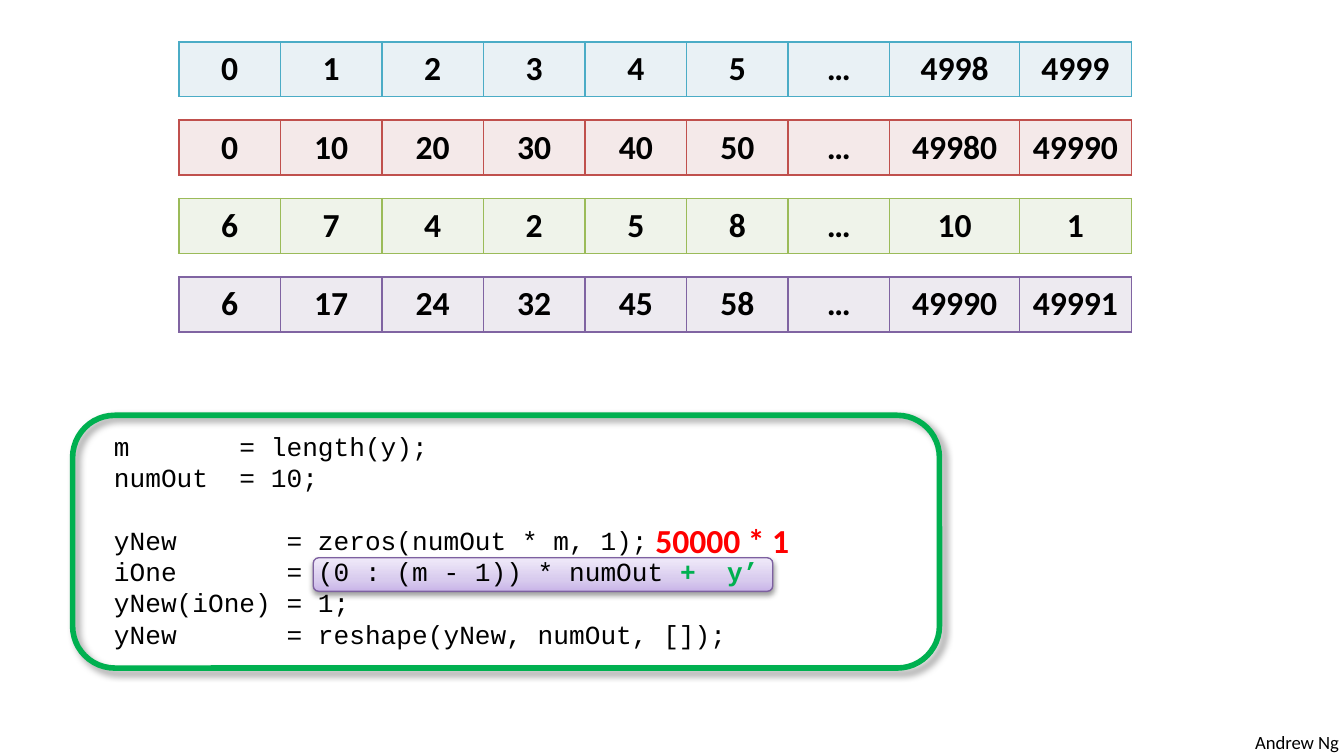
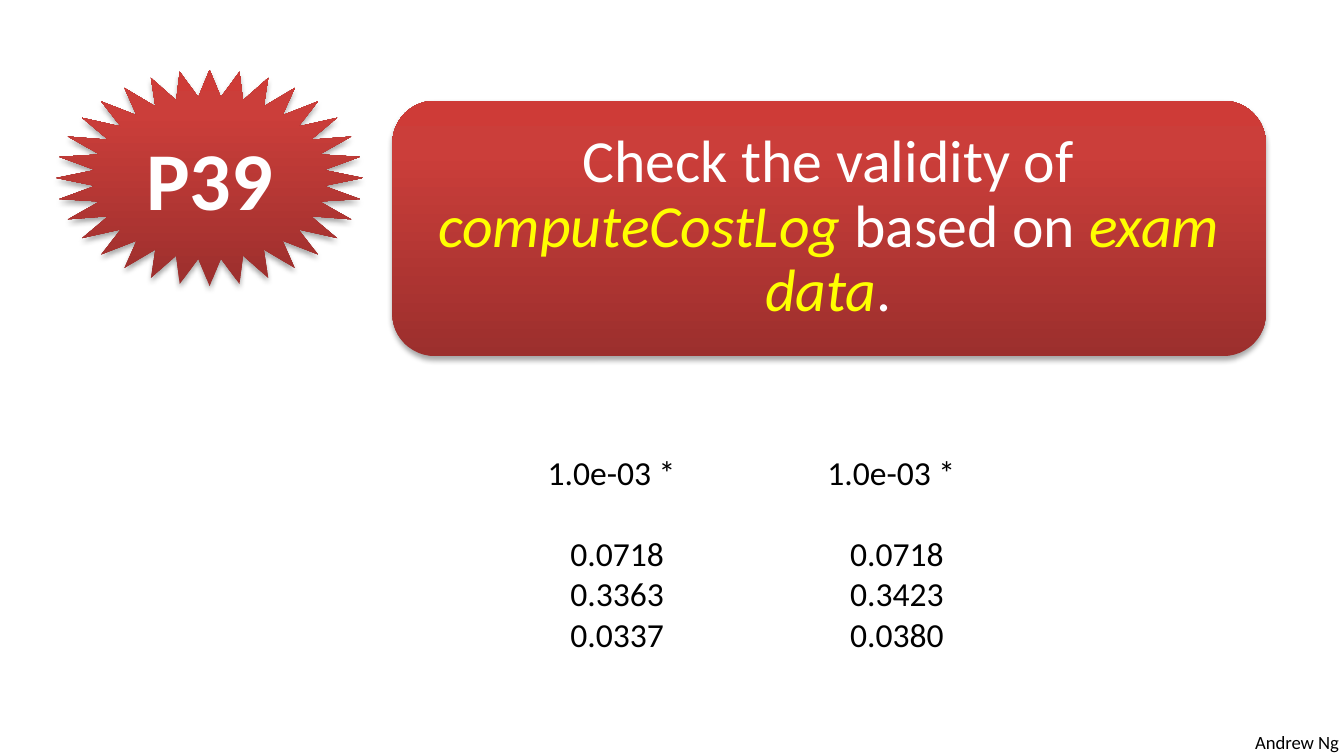
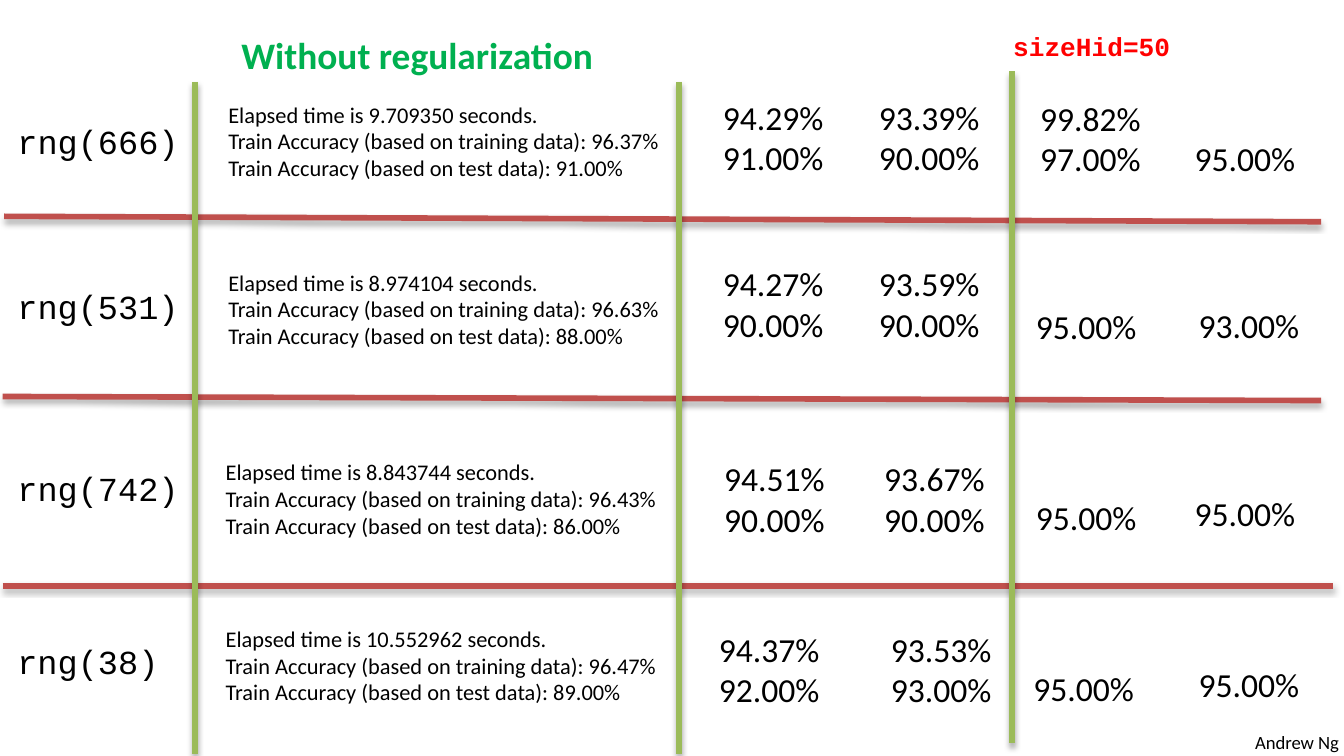
from dataclasses import dataclass

from lxml import etree
from pptx import Presentation
from pptx import util as u
from pptx.dml.color import RGBColor
from pptx.enum import shapes, text
from pptx.oxml import ns

Pt = u.Pt
CENTER = text.PP_ALIGN.CENTER
MIDDLE = text.MSO_ANCHOR.MIDDLE


@dataclass(frozen=True)
class Theme:
    body: str = "Calibri"
    mono: str = "Courier New"
    black: str = "000000"
    white: str = "FFFFFF"
    red: str = "FF0000"
    green: str = "00B050"
    yellow: str = "FFFF00"
    row_rule: str = "C0504D"
    column_rule: str = "9BBB59"
    purple: str = "7D60A0"
    lilac: tuple = ((0, "C9B5E8"), (35, "D8CBEE"), (100, "F0EAF9"))
    crimson: tuple = ((0, "9C2F2D"), (80, "CB3E3A"), (100, "CE3B37"))
    # alpha %, blur, distance, angle
    soft_shadow: tuple = (35, 3.1, 1.8, 90)
    frame_shadow: tuple = (40, 4, 3, 45)
    footer: int = 10
    log: int = 12
    code: int = 14
    normal: int = 18
    heading: int = 20
    task: int = 32
    badge: int = 44


T = Theme()


def sub(parent, tag, **attrs):
    return etree.SubElement(parent, ns.qn(tag), {k: str(v) for k, v in attrs.items()})


def cast_shadow(sp, alpha, blur, dist, angle):
    """Give a shape or connector an outer shadow; call after fill and line."""
    effects = sub(sp._element.spPr, "a:effectLst")
    shadow = sub(effects, "a:outerShdw", blurRad=Pt(blur), dist=Pt(dist),
                 dir=angle * 60000, rotWithShape=0)
    sub(sub(shadow, "a:srgbClr", val=T.black), "a:alpha", val=alpha * 1000)


def fill_gradient(sp, stops):
    """Fill from the bottom edge (0) to the top edge (100)."""
    sp.fill.gradient()
    sp.fill.gradient_angle = 90
    stop_list = sp._element.spPr.find(".//" + ns.qn("a:gsLst"))
    stop_list.clear()
    for pos, color in stops:
        sub(sub(stop_list, "a:gs", pos=pos * 1000), "a:srgbClr", val=color)


def add_run(p, words, color=T.black, **fmt):
    r = p.add_run()
    r.text = words
    for name, value in {"name": T.body, "size": Pt(T.normal), **fmt}.items():
        setattr(r.font, name, value)
    r.font.color.rgb = RGBColor.from_string(color)


def write(tf, paragraphs, para=None, **fmt):
    """Each paragraph is a string or a list of (words, format changes)."""
    for i, runs in enumerate(paragraphs):
        p = tf.paragraphs[0] if i == 0 else tf.add_paragraph()
        for name, value in (para or {}).items():
            setattr(p, name, value)
        for words, changes in [(runs, {})] if isinstance(runs, str) else runs:
            add_run(p, words, **{**fmt, **changes})


def text_box(parent, box, paragraphs, wrap=True, para=None, **fmt):
    tf = parent.shapes.add_textbox(*map(Pt, box)).text_frame
    tf.word_wrap = wrap
    tf.auto_size = text.MSO_AUTO_SIZE.SHAPE_TO_FIT_TEXT
    write(tf, paragraphs, para, **fmt)
    return tf


def panel(parent, kind, box, shadow, stops=None, line=None, width=0):
    sp = parent.shapes.add_shape(kind, *map(Pt, box))
    if stops:
        fill_gradient(sp, stops)
    else:
        sp.fill.background()
    if line:
        sp.line.color.rgb = RGBColor.from_string(line)
        sp.line.width = Pt(width)
    else:
        sp.line.fill.background()
    cast_shadow(sp, *shadow)
    return sp


def rule(slide, x1, y1, x2, y2, color):
    line = slide.shapes.add_connector(shapes.MSO_CONNECTOR.STRAIGHT,
                                      *map(Pt, (x1, y1, x2, y2)))
    line.line.color.rgb = RGBColor.from_string(color)
    line.line.width = Pt(3)
    cast_shadow(line, *T.soft_shadow)


def border_cell(cell, color):
    props = cell._tc.get_or_add_tcPr()
    for i, side in enumerate(("a:lnL", "a:lnR", "a:lnT", "a:lnB")):
        ln = etree.Element(ns.qn(side), w=str(Pt(1)))
        sub(sub(ln, "a:solidFill"), "a:srgbClr", val=color)
        props.insert(i, ln)


def vector_table(slide, top, values, edge, fill):
    widths = [54.4] * 7 + [69.6, 60]
    frame = slide.shapes.add_table(1, len(values), Pt(95.8), Pt(top),
                                   Pt(sum(widths)), Pt(29.4))
    table = frame.table
    table.first_row = table.horz_banding = False
    for column, width in zip(table.columns, widths):
        column.width = Pt(width)
    for cell, value in zip(table.rows[0].cells, values):
        cell.vertical_anchor = MIDDLE
        cell.margin_left = cell.margin_right = Pt(4)
        cell.fill.solid()
        cell.fill.fore_color.rgb = RGBColor.from_string(fill)
        border_cell(cell, edge)
        write(cell.text_frame, [value], {"alignment": CENTER}, bold=True)


def gradient_column(slide, left, width, values):
    """A scale factor above a set of indented values."""
    tf = text_box(slide, (left, 238.3, width, 116.6), ["1.0e-03 *", *values])
    for i, p in enumerate(tf.paragraphs):
        p._p.get_or_add_pPr().set("marL", str(Pt(16.3 if i else 4.1)))
    tf.paragraphs[1].space_before = Pt(22)


def new_slide(prs):
    slide = prs.slides.add_slide(prs.slide_layouts[6])
    text_box(slide, (665.3, 388.1, 60.5, 19.4), ["Andrew Ng"], wrap=False,
             size=Pt(T.footer))
    return slide


def one_hot_slide(prs):
    slide = new_slide(prs)
    rounded = shapes.MSO_SHAPE.ROUNDED_RECTANGLE
    panel(slide, rounded, (167.8, 298.8, 246.2, 18), (38, 3.1, 1.6, 90),
          T.lilac, T.purple, 0.75)
    code = [
        "m       = length(y);",
        "numOut  = 10;",
        "yNew       = zeros(numOut * m, 1);",
        [("iOne       = (0 : (m - 1)) * numOut ", {}),
         ("+  y’", {"color": T.green, "bold": True})],
        "yNew(iOne) = 1;",
        "yNew       = reshape(yNew, numOut, []);",
    ]
    tf = text_box(slide, (54, 226.8, 468, 126), code, name=T.mono, size=Pt(T.code))
    tf.paragraphs[2].space_before = Pt(16.8)
    panel(slide, rounded, (38.9, 222.5, 464.4, 135.4), T.frame_shadow,
          line=T.green, width=3)
    text_box(slide, (343.4, 275, 87.1, 28.8), ["50000 * 1"], wrap=False,
             para={"alignment": CENTER}, color=T.red, bold=True)
    vectors = [
        ("0 1 2 3 4 5 … 4998 4999", "4BACC6", "E9F1F5"),
        ("0 10 20 30 40 50 … 49980 49990", "C0504D", "F4E9E9"),
        ("6 7 4 2 5 8 … 10 1", "9BBB59", "EFF3EA"),
        ("6 17 24 32 45 58 … 49990 49991", "8064A2", "EDEAF0"),
    ]
    for i, (values, edge, fill) in enumerate(vectors):
        vector_table(slide, 22.4 + 42 * i, values.split(), edge, fill)


def validity_slide(prs):
    slide = new_slide(prs)
    badge = panel(slide, shapes.MSO_SHAPE.STAR_32_POINT, (30.2, 37.4, 164.2, 115.9),
                  T.soft_shadow, T.crimson)
    badge.text_frame.vertical_anchor = MIDDLE
    write(badge.text_frame, ["P39"], {"alignment": CENTER}, color=T.white,
          size=Pt(T.badge), bold=True)

    group = slide.shapes.add_group_shape()
    panel(group, shapes.MSO_SHAPE.ROUNDED_RECTANGLE, (210.2, 54, 468, 136.8),
          T.soft_shadow, T.crimson)
    key = {"color": T.yellow, "italic": True}
    task = [("Check the validity of ", {}), ("computeCostLog", key),
            (" based on ", {}), ("exam data", key), (".", {})]
    tf = text_box(group, (213.1, 60.5, 461.5, 123.1), [task],
                  para={"alignment": CENTER, "line_spacing": 0.9},
                  color=T.white, size=Pt(T.task))
    tf.auto_size = text.MSO_AUTO_SIZE.NONE
    tf.vertical_anchor = MIDDLE
    tf.margin_left = tf.margin_right = Pt(15)
    tf.margin_top = tf.margin_bottom = Pt(8)

    gradient_column(slide, 282.2, 95.8, ["0.0718", "0.3363", "0.0337"])
    gradient_column(slide, 432, 90, ["0.0718", "0.3423", "0.0380"])


def accuracy_slide(prs):
    slide = new_slide(prs)
    text_box(slide, (121.7, 13.7, 203.8, 31.7), ["Without regularization"],
             para={"alignment": CENTER}, color=T.green, size=Pt(T.heading), bold=True)
    text_box(slide, (535.7, 13, 99.4, 24.5), ["sizeHid=50"], wrap=False,
             color=T.red, name=T.mono, size=Pt(T.code), bold=True)
    # seed, its top; log left, top; seconds, train, test; rates as left, top, values
    runs = [
        ("666", 61.2, 115.2, 50.4, "9.709350", "96.37%", "91.00%",
         [(380.2, 48.2, "94.29% 91.00%"), (463.7, 48.2, "93.39% 90.00%"),
          (550.1, 49, "99.82% 97.00%"), (632.9, 70.6, "95.00%")]),
        ("531", 149.8, 115.2, 140.4, "8.974104", "96.63%", "88.00%",
         [(380.2, 137.5, "94.27% 90.00%"), (463.7, 137.5, "93.59% 90.00%"),
          (547.9, 160.6, "95.00%"), (635, 159.8, "93.00%")]),
        ("742", 247, 113.8, 241.9, "8.843744", "96.43%", "86.00%",
         [(380.9, 241.9, "94.51% 90.00%"), (466.6, 241.9, "93.67% 90.00%"),
          (547.9, 262.8, "95.00%"), (632.9, 260.6, "95.00%")]),
        ("38", 339.8, 113.8, 331.2, "10.552962", "96.47%", "89.00%",
         [(378, 333.4, "94.37% 92.00%"), (470.2, 333.4, "93.53% 93.00%"),
          (546.5, 354.2, "95.00%"), (635, 352.1, "95.00%")]),
    ]
    for seed, seed_top, left, top, seconds, train, test, rates in runs:
        label = f"rng({seed})"
        text_box(slide, (2.2, seed_top, 14.6 + 10.8 * len(label), 28.8), [label],
                 wrap=False, name=T.mono)
        text_box(slide, (left, top, 250, 51.1),
                 [f"Elapsed time is {seconds} seconds.",
                  f"Train Accuracy (based on training data): {train}",
                  f"Train Accuracy (based on test data): {test}"], size=Pt(T.log))
        for rate_left, rate_top, rate in rates:
            values = rate.split()
            text_box(slide, (rate_left, rate_top, 77.8, 7.2 + 22 * len(values)), values)
    for x1, y1, x2, y2 in ((2.2, 115.9, 707.8, 118.8), (1.4, 212.4, 707.8, 214.6),
                           (1.4, 313.9, 714.2, 313.9)):
        rule(slide, x1, y1, x2, y2, T.row_rule)
    for x, top in ((104.4, 43.9), (363.6, 43.9), (542.2, 38.2)):
        rule(slide, x, top, x, top + 360, T.column_rule)


def main():
    prs = Presentation()
    prs.slide_width, prs.slide_height = Pt(720), Pt(405)
    one_hot_slide(prs)
    validity_slide(prs)
    accuracy_slide(prs)
    prs.save("out.pptx")


if __name__ == "__main__":
    main()
